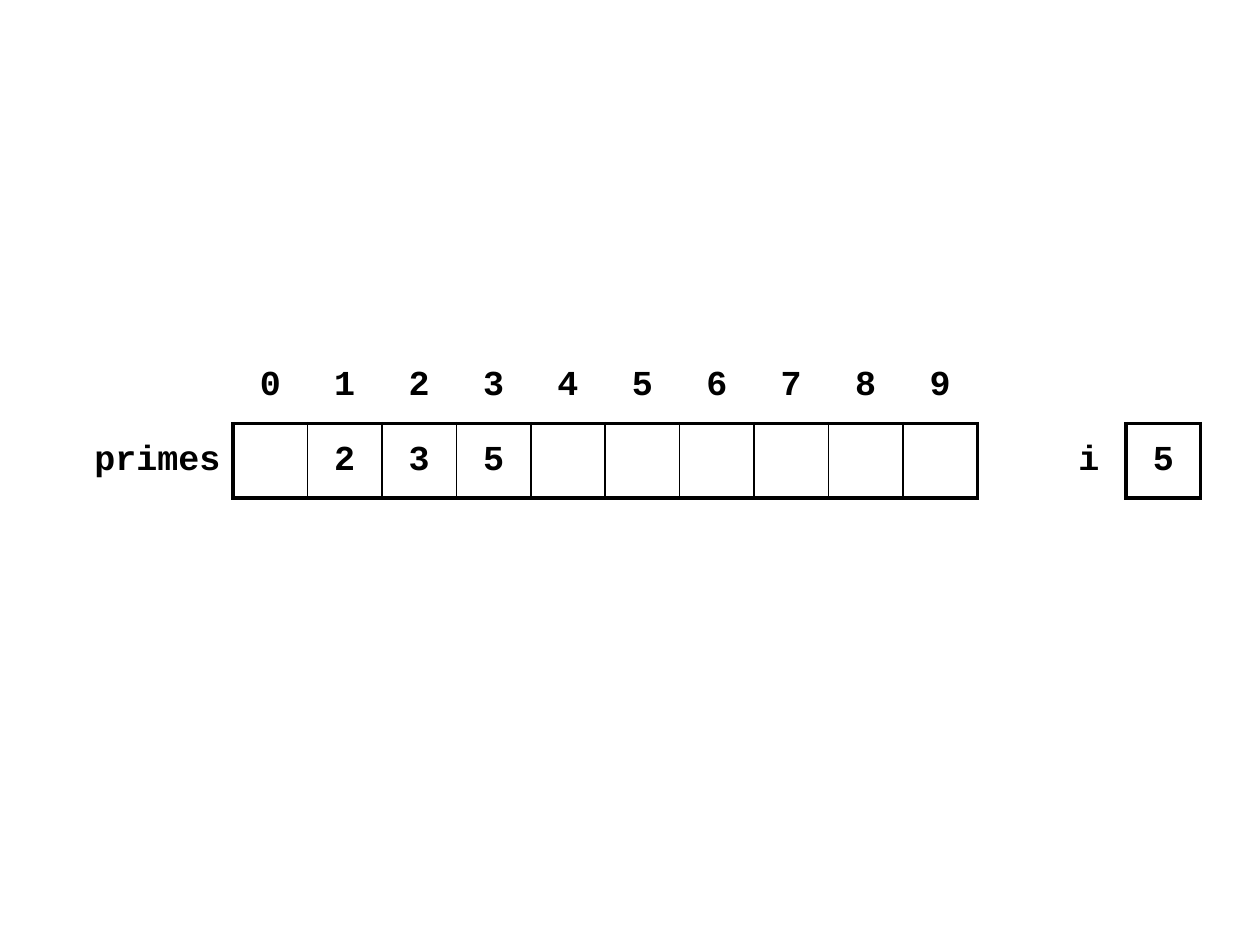
from lxml import etree
from pptx import Presentation
from pptx.dml.color import RGBColor
from pptx.enum.text import MSO_ANCHOR, PP_ALIGN
from pptx.oxml.ns import qn
from pptx.util import Cm, Pt

MIDDLE = MSO_ANCHOR.MIDDLE
CENTER, RIGHT = PP_ALIGN.CENTER, PP_ALIGN.RIGHT

COLORS = {"ink": "000000"}
FONT, FONT_SIZE = "Courier New", Pt(20)
OUTER, INNER = 2.25, 1

indices = [str(index) for index in range(10)]
primes = ["", "2", "3", "5", "", "", "", "", "", ""]
rows = [
    ["", *indices, "", "", ""],
    ["primes", *primes, "", "i", "5"],
]
boxed = {*range(1, len(primes) + 1), len(rows[1]) - 1}

LABEL_WIDTH, CELL_SIZE = Cm(3.5), Cm(1.5)
LEFT, TOP = Cm(1.2), Cm(7.04)


def side_weight(column):
    neighbours = (column - 1 in boxed) + (column in boxed)
    return (0, OUTER, INNER)[neighbours]


def cell_borders(row, column):
    edge = OUTER if column in boxed else 0
    if row == 0:
        return {"L": 0, "R": 0, "T": 0, "B": edge}
    return {"L": side_weight(column), "R": side_weight(column + 1), "T": edge, "B": edge}


def draw_borders(cell, weights):
    properties = cell._tc.get_or_add_tcPr()
    for side, weight in weights.items():
        line = etree.SubElement(properties, qn(f"a:ln{side}"), w=str(int(Pt(weight))))
        if weight:
            fill = etree.SubElement(line, qn("a:solidFill"))
            etree.SubElement(fill, qn("a:srgbClr"), val=COLORS["ink"])
        else:
            etree.SubElement(line, qn("a:noFill"))


def write_cell(cell, text, alignment):
    cell.vertical_anchor = MIDDLE
    cell.text_frame.text = text
    paragraph = cell.text_frame.paragraphs[0]
    paragraph.alignment = alignment
    for run in paragraph.runs:
        run.font.name = FONT
        run.font.size = FONT_SIZE
        run.font.bold = True
        run.font.color.rgb = RGBColor.from_string(COLORS["ink"])


def main():
    deck = Presentation()
    deck.slide_width, deck.slide_height = Cm(25.4), Cm(19.05)
    slide = deck.slides.add_slide(deck.slide_layouts[6])

    widths = [LABEL_WIDTH] + [CELL_SIZE] * (len(rows[0]) - 1)
    memory = slide.shapes.add_table(
        len(rows), len(widths), LEFT, TOP, sum(widths), CELL_SIZE * len(rows)
    ).table
    memory.first_row = False
    memory.horz_banding = False
    for column, width in zip(memory.columns, widths):
        column.width = width

    for r, texts in enumerate(rows):
        memory.rows[r].height = CELL_SIZE
        for c, text in enumerate(texts):
            cell = memory.cell(r, c)
            write_cell(cell, text, CENTER if c else RIGHT)
            draw_borders(cell, cell_borders(r, c))
            cell.fill.background()

    deck.save("out.pptx")


if __name__ == "__main__":
    main()
